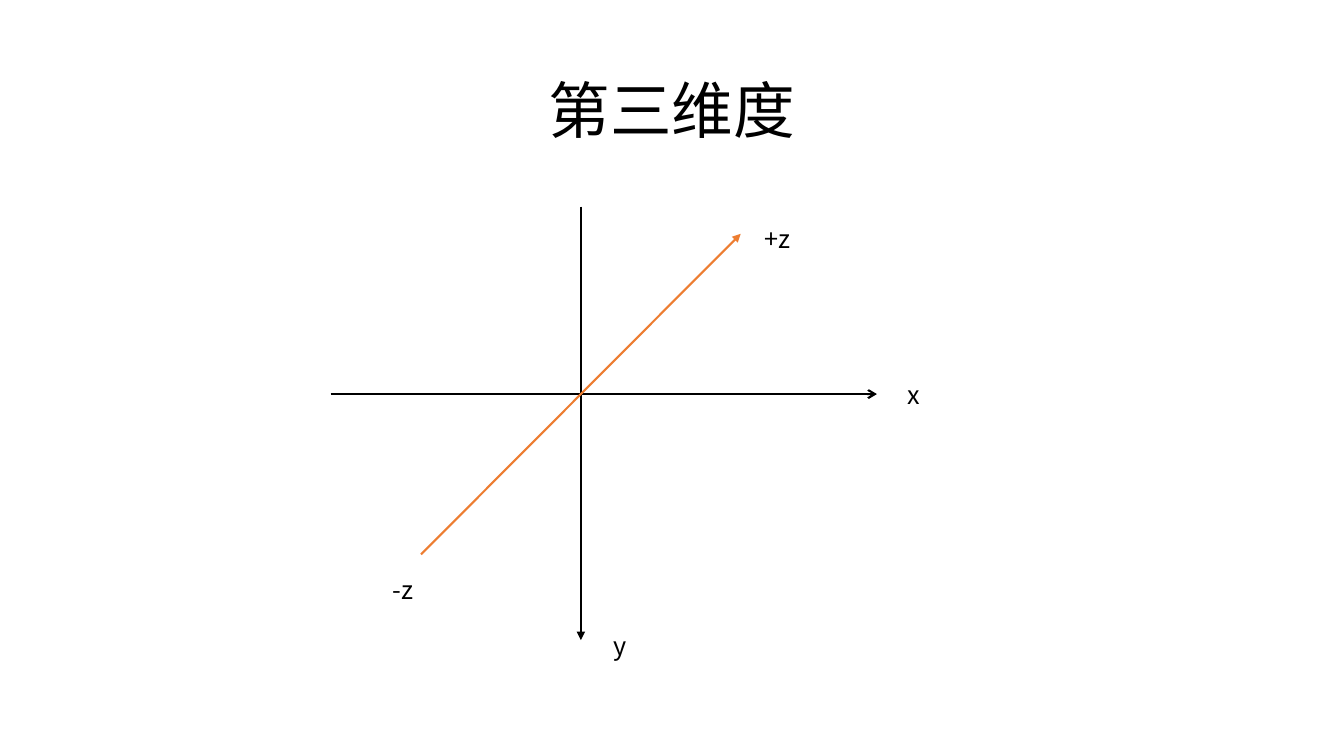
from pptx import Presentation
from pptx import util as u
from pptx.dml.color import RGBColor
from pptx.enum import shapes, text
from pptx.oxml.ns import qn
from lxml import etree

HUES = {"ink": "000000", "depth": "ED7D31", "page": "FFFFFF"}
FONT = "Noto Sans CJK SC"


def hue(name):
    return RGBColor.from_string(HUES[name])


def write(frame, words, size=18, color="ink", align=None, space=None):
    """Put one formatted paragraph into a text frame."""
    para = frame.paragraphs[0]
    para.alignment, para.line_spacing = align, space
    run = para.add_run()
    run.text = words
    run.font.size, run.font.name = u.Pt(size), FONT
    run.font.color.rgb = hue(color)
    east = etree.SubElement(run.font._element, qn("a:ea"))
    east.set("typeface", FONT)


class Deck:
    """Holds the style and current slide; lengths are percent of its size."""

    def __init__(self, wide, high):
        self.prs = Presentation()
        self.prs.slide_width, self.prs.slide_height = u.Inches(wide), u.Inches(high)
        self.page = self.prs.slides.add_slide(self.prs.slide_layouts[5])
        fill = self.page.background.fill
        fill.solid()
        fill.fore_color.rgb = hue("page")

    def span(self, *pairs):
        """Turn x, y, x, y... percentages into slide lengths."""
        sides = (self.prs.slide_width, self.prs.slide_height)
        return [u.Emu(round(sides[i % 2] * p / 100)) for i, p in enumerate(pairs)]

    def title(self, words, *box):
        head = self.page.shapes.title
        head.left, head.top, head.width, head.height = self.span(*box)
        frame = head.text_frame
        frame.word_wrap = True
        frame.vertical_anchor = text.MSO_ANCHOR.MIDDLE
        write(frame, words, size=44, align=text.PP_ALIGN.CENTER, space=0.9)

    def arrow(self, *ends, color="ink", tip="triangle"):
        line = self.page.shapes.add_connector(
            shapes.MSO_CONNECTOR.STRAIGHT, *self.span(*ends))
        line.line.width = u.Pt(1.5)
        line.line.color.rgb = hue(color)
        etree.SubElement(line.line._get_or_add_ln(), qn("a:tailEnd")).set("type", tip)
        etree.SubElement(line._element.spPr, qn("a:effectLst"))

    def label(self, words, *box):
        frame = self.page.shapes.add_textbox(*self.span(*box)).text_frame
        frame.word_wrap = False
        frame.auto_size = text.MSO_AUTO_SIZE.SHAPE_TO_FIT_TEXT
        write(frame, words)


deck = Deck(13.333, 7.5)
deck.title("第三维度", 6.88, 5.33, 86.25, 19.33)

# Axes: all three cross at the origin
MIDX, MIDY = 43.22, 52.13
RUN, RISE = 11.89, 21.2
deck.arrow(24.6, MIDY, 65.25, MIDY, tip="arrow")
deck.arrow(MIDX, 27.33, MIDX, 84.67)
deck.arrow(MIDX - RUN, MIDY + RISE, MIDX + RUN, MIDY - RISE, color="depth")

# Axis labels: left, top, width
for name, left, top, wide in (
    ("x", 66.75, 49.47, 2.33),
    ("y", 44.93, 82.67, 2.4),
    ("+z", 56.18, 28.93, 3.68),
    ("-z", 28.5, 75.33, 3.3),
):
    deck.label(name, left, top, wide, 5.33)

deck.prs.save("out.pptx")
